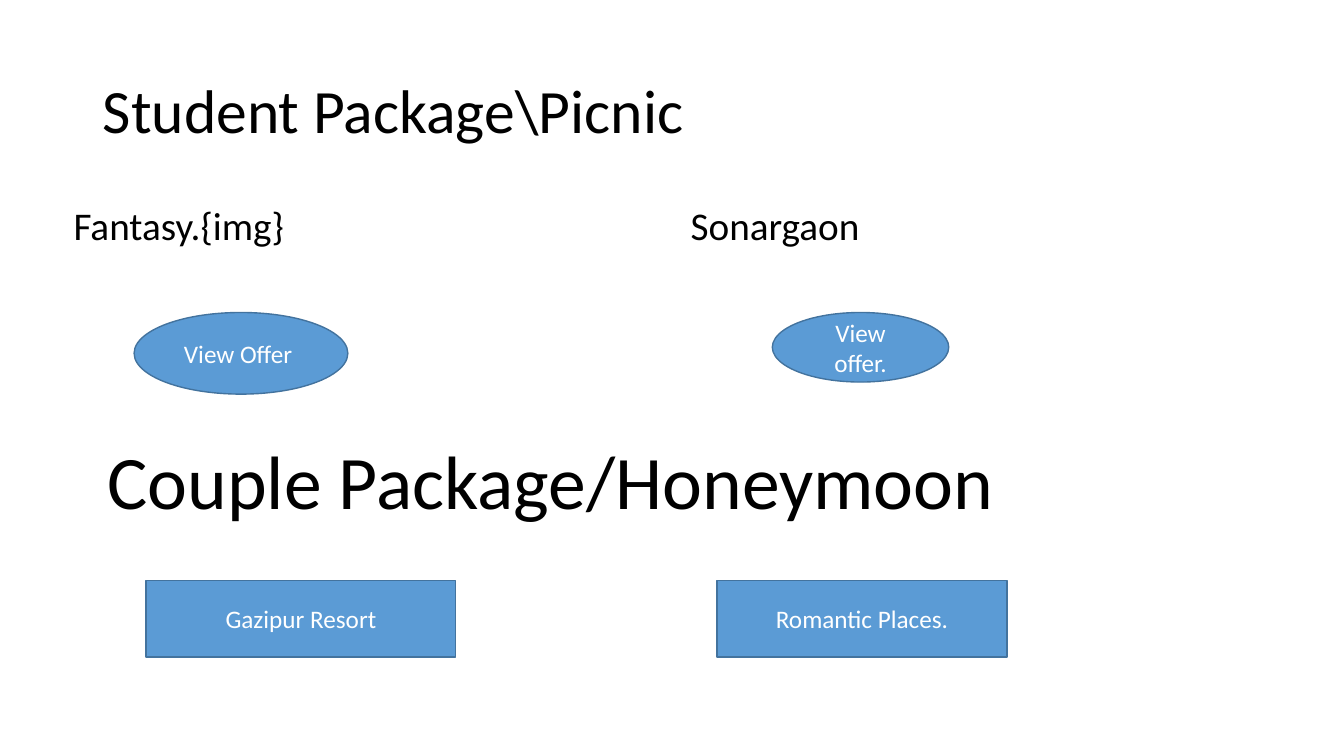
from pptx import Presentation
from pptx.dml.color import RGBColor
from pptx.enum.shapes import MSO_SHAPE
from pptx.enum.text import MSO_ANCHOR, MSO_AUTO_SIZE, PP_ALIGN
from pptx.oxml.ns import qn
from pptx.util import Inches, Pt

OVAL, RECT = MSO_SHAPE.OVAL, MSO_SHAPE.RECTANGLE
TOP, MIDDLE = MSO_ANCHOR.TOP, MSO_ANCHOR.MIDDLE
LEFT, CENTER = PP_ALIGN.LEFT, PP_ALIGN.CENTER
TWO_CONTENT = 3
BLACK, WHITE, BLUE, DARK_BLUE = "000000", "FFFFFF", "5B9BD5", "43739E"


def color(value):
    return RGBColor.from_string(value)


def write(shape, text, size, ink, align, anchor, wrap=True):
    tf = shape.text_frame
    tf.text = text
    tf.word_wrap = wrap
    tf.auto_size = MSO_AUTO_SIZE.NONE
    tf.vertical_anchor = anchor
    p = tf.paragraphs[0]
    p.alignment = align
    p.font.name = "Calibri"
    p.font.size = Pt(size)
    p.font.color.rgb = color(ink)
    return p


def fill_placeholder(shape, box, text, size, anchor):
    shape.left, shape.top, shape.width, shape.height = map(Inches, box)
    p = write(shape, text, size, BLACK, LEFT, anchor)
    p.line_spacing = 0.9
    p.space_before = Pt(0)
    return p


def add_column(shape, left, text):
    p = fill_placeholder(shape, (left, 2, 5.67, 4.76), text, 28, TOP)
    pPr = p._p.get_or_add_pPr()
    pPr.set("marL", "0")
    pPr.set("indent", "0")
    pPr.insert_element_before(pPr.makeelement(qn("a:buNone"), {}),
                              "a:tabLst", "a:defRPr", "a:extLst")


def add_button(s, kind, box, text):
    sp = s.shapes.add_shape(kind, *map(Inches, box))
    sp.shadow.inherit = False
    sp.fill.solid()
    sp.fill.fore_color.rgb = color(BLUE)
    sp.line.color.rgb = color(DARK_BLUE)
    sp.line.width = Pt(1)
    write(sp, text, 18, WHITE, CENTER, MIDDLE)


def add_heading(s, box, text):
    sp = s.shapes.add_textbox(*map(Inches, box))
    write(sp, text, 54, BLACK, CENTER, TOP, wrap=False)


def main():
    prs = Presentation()
    prs.slide_width, prs.slide_height = Inches(13.33), Inches(7.5)
    s = prs.slides.add_slide(prs.slide_layouts[TWO_CONTENT])
    s.background.fill.solid()
    s.background.fill.fore_color.rgb = color(WHITE)

    fill_placeholder(s.shapes.title, (0.92, 0.4, 11.5, 1.45),
                     "Student Package\\Picnic", 44, MIDDLE)
    add_column(s.placeholders[1], 0.63, "Fantasy.{img}")
    add_column(s.placeholders[2], 6.75, "Sonargaon")

    add_button(s, OVAL, (1.33, 3.1, 2.12, 0.81), "View Offer ")
    add_button(s, OVAL, (7.66, 3.1, 1.75, 0.69), "View offer.")
    add_heading(s, (0.92, 4.26, 9.08, 1.01), "Couple Package/Honeymoon")
    add_button(s, RECT, (1.45, 5.76, 3.07, 0.76), "Gazipur Resort")
    add_button(s, RECT, (7.11, 5.76, 2.88, 0.76), "Romantic Places.")

    prs.save("out.pptx")


if __name__ == "__main__":
    main()
